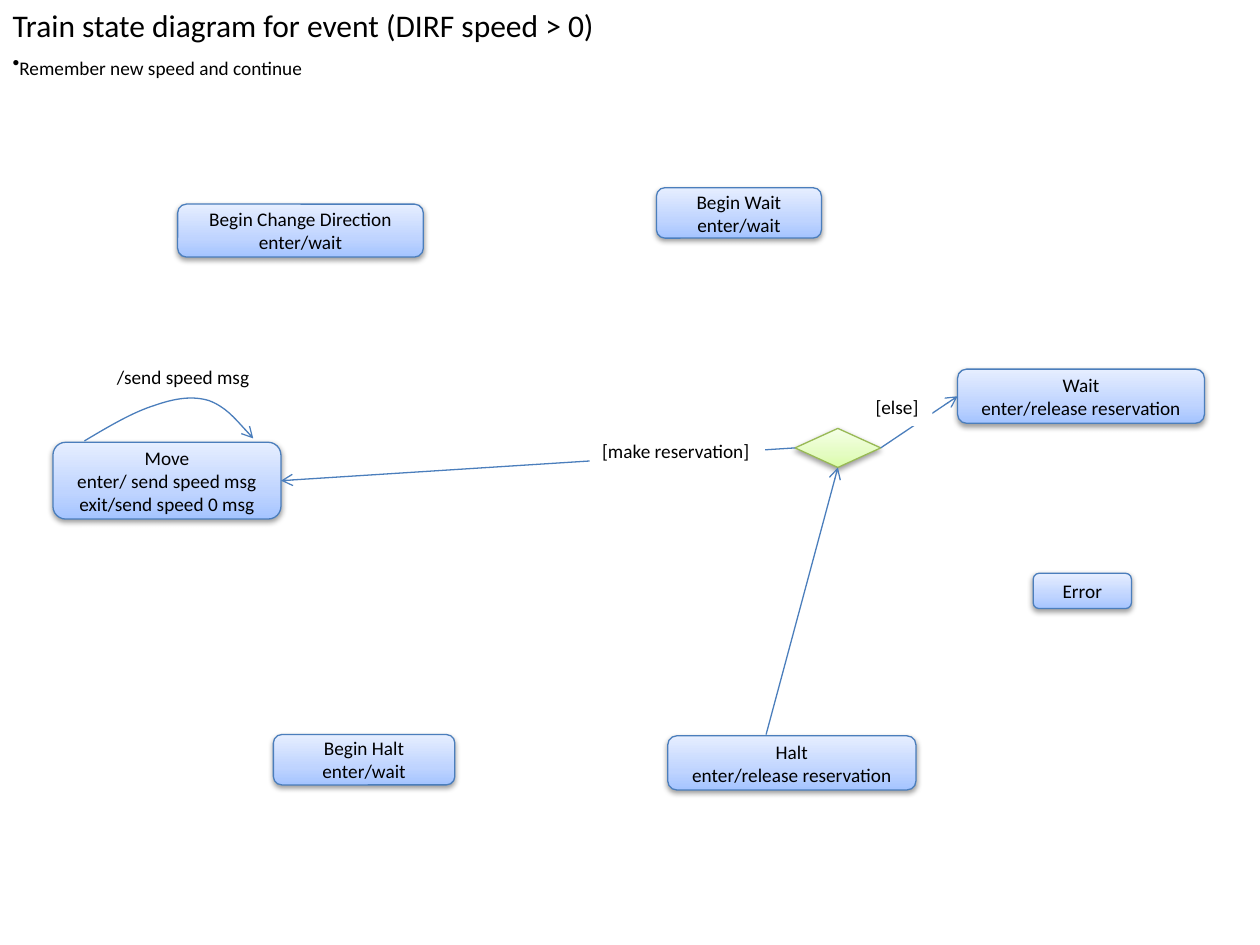
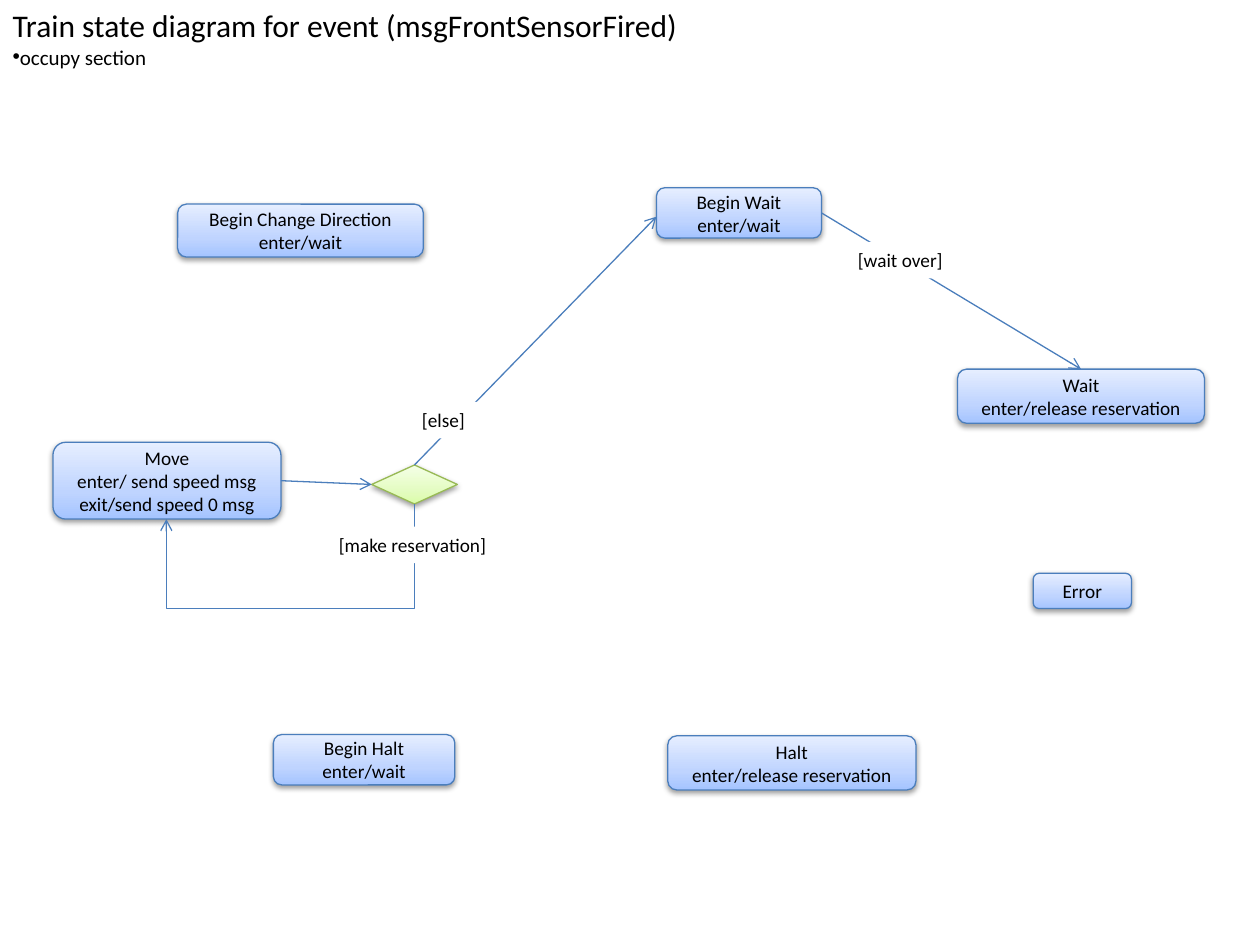
from dataclasses import dataclass
from typing import NamedTuple

from lxml import etree
from pptx import Presentation
from pptx.dml.color import RGBColor
from pptx.enum.shapes import MSO_CONNECTOR, MSO_SHAPE
from pptx.enum.text import MSO_ANCHOR, MSO_AUTO_SIZE, PP_ALIGN
from pptx.oxml.ns import qn
from pptx.util import Pt

PX = 9144
SLIDE_W, SLIDE_H = 1000, 750
FONT = "Calibri"
COLORS = {
    "text": "000000", "shadow": "000000", "label": "FFFFFF",
    "state_line": "4B7EBC", "choice_line": "98B955",
}
GRADIENTS = {
    "state": ("A4C4FF", "BFD4FF", "E6EEFF"),
    "choice": ("DAFDA7", "E4FCC2", "F5FFE7"),
}
GRADIENT_STOPS = (0, 35000, 100000)
LINE_WIDTH = Pt(0.75)
TITLE_SIZE, BODY_SIZE = 18, 11
LABEL_H = 29
CHOICE_W, CHOICE_H = 68, 31

ROUND_RECT = MSO_SHAPE.ROUNDED_RECTANGLE
DECISION = MSO_SHAPE.FLOWCHART_DECISION
STRAIGHT, ELBOW = MSO_CONNECTOR.STRAIGHT, MSO_CONNECTOR.ELBOW
LEFT, CENTER = PP_ALIGN.LEFT, PP_ALIGN.CENTER
ANCHOR_TOP, ANCHOR_MIDDLE = MSO_ANCHOR.TOP, MSO_ANCHOR.MIDDLE
FIT_SHAPE = MSO_AUTO_SIZE.SHAPE_TO_FIT_TEXT
SITE_TOP, SITE_LEFT, SITE_BOTTOM, SITE_RIGHT = range(4)


class Point(NamedTuple):
    x: int
    y: int


class Joint(NamedTuple):
    state: str
    site: int


class Arrow(NamedTuple):
    start: Point | Joint
    end: Point | Joint


class Loop(NamedTuple):
    start: Point
    end: Point
    bottom: int


class Label(NamedTuple):
    text: str
    x: int
    y: int
    w: int


class State(NamedTuple):
    lines: tuple[str, ...]
    x: int
    y: int
    w: int
    h: int


class Note(NamedTuple):
    text: str
    size: int
    tail: str = ""


@dataclass(frozen=True)
class Diagram:
    title: str
    note: Note
    title_w: int
    title_h: int
    choice: Point
    arrows: tuple[Arrow, ...]
    labels: tuple[Label, ...]
    loops: tuple[Loop, ...] = ()
    curves: tuple[tuple[Point, ...], ...] = ()


STATES = {
    "move": State(("Move", "enter/ send speed msg", "exit/send speed 0 msg"), 42, 351, 181, 61),
    "error": State(("Error",), 820, 455, 78, 28),
    "wait": State(("Wait", "enter/release reservation"), 760, 293, 196, 43),
    "halt": State(("Halt", "enter/release reservation"), 530, 584, 197, 43),
    "begin_wait": State(("Begin Wait", "enter/wait"), 521, 149, 131, 40),
    "begin_change": State(("Begin Change Direction", "enter/wait"), 141, 162, 195, 42),
    "begin_halt": State(("Begin Halt", "enter/wait"), 217, 583, 144, 40),
}

DIAGRAMS = (
    Diagram(
        title="Train state diagram for event (DIRF speed > 0)",
        note=Note("Remember new speed and continue", 11, tail=" "),
        title_w=487, title_h=71,
        choice=Point(631, 340),
        arrows=(
            Arrow(Point(608, 583), Joint("choice", SITE_BOTTOM)),
            Arrow(Joint("choice", SITE_RIGHT), Joint("wait", SITE_LEFT)),
            Arrow(Joint("choice", SITE_LEFT), Joint("move", SITE_RIGHT)),
        ),
        labels=(
            Label("[make reservation]", 468, 344, 139),
            Label("[else]", 685, 309, 55),
            Label("/send speed msg", 83, 285, 126),
        ),
        curves=((
            Point(67, 350),
            Point(87, 338), Point(106, 327), Point(122, 322),
            Point(139, 316), Point(153, 314), Point(166, 318),
            Point(179, 323), Point(190, 336), Point(201, 348),
        ),),
    ),
    Diagram(
        title="Train state diagram for event (msgFrontSensorFired)",
        note=Note("occupy section", 12),
        title_w=559, title_h=61,
        choice=Point(295, 369),
        arrows=(
            Arrow(Joint("move", SITE_RIGHT), Joint("choice", SITE_LEFT)),
            Arrow(Joint("choice", SITE_TOP), Point(521, 172)),
            Arrow(Joint("begin_wait", SITE_RIGHT), Joint("wait", SITE_TOP)),
        ),
        labels=(
            Label("[make reservation]", 259, 418, 139),
            Label("[else]", 325, 319, 55),
            Label("[wait over]", 671, 192, 88),
        ),
        loops=(Loop(Point(329, 400), Point(132, 412), 483),),
    ),
)


def px(*values: float) -> list[int]:
    return [round(v * PX) for v in values]


def rgb(name: str) -> RGBColor:
    return RGBColor.from_string(COLORS[name])


def add_child(parent, tag: str, **attrs):
    return etree.SubElement(parent, qn(tag), {k: str(v) for k, v in attrs.items()})


def write(p, text: str, *, size: int = BODY_SIZE, align=LEFT) -> None:
    p.alignment = align
    r = p.add_run()
    r.text = text
    r.font.name = FONT
    r.font.size = Pt(size)
    r.font.bold = False
    r.font.color.rgb = rgb("text")


def hug_text(tf) -> None:
    tf.word_wrap = False
    tf.auto_size = FIT_SHAPE
    tf.vertical_anchor = ANCHOR_TOP


def style_line(s, color: str = "state_line", arrow: bool = False) -> None:
    s.line.color.rgb = rgb(color)
    s.line.width = LINE_WIDTH
    if arrow:
        add_child(s._element.spPr.find(qn("a:ln")), "a:tailEnd", type="arrow")


def style_box(s, kind: str) -> None:
    s.fill.gradient()
    s.fill.gradient_angle = 90
    stops = s._element.spPr.find(qn("a:gradFill")).find(qn("a:gsLst"))
    for stop in list(stops):
        stops.remove(stop)
    for pos, color in zip(GRADIENT_STOPS, GRADIENTS[kind]):
        add_child(add_child(stops, "a:gs", pos=pos), "a:srgbClr", val=color)
    style_line(s, f"{kind}_line")
    s.shadow.inherit = False
    effects = s._element.spPr.find(qn("a:effectLst"))
    shadow = add_child(effects, "a:outerShdw", blurRad=40000, dist=20000,
                       dir=5400000, rotWithShape=0)
    color = add_child(shadow, "a:srgbClr", val=COLORS["shadow"])
    add_child(color, "a:alpha", val=38000)


def add_title(slide, diagram: Diagram) -> None:
    sp = slide.shapes.title
    sp.left, sp.top, sp.width, sp.height = px(0, 0, diagram.title_w, diagram.title_h)
    tf = sp.text_frame
    hug_text(tf)
    write(tf.paragraphs[0], diagram.title, size=TITLE_SIZE)
    p = tf.add_paragraph()
    write(p, diagram.note.text, size=diagram.note.size)
    if diagram.note.tail:
        write(p, diagram.note.tail, size=TITLE_SIZE)
    pPr = p._p.get_or_add_pPr()
    pPr.set("marL", "0")
    pPr.set("indent", "0")
    add_child(pPr, "a:buFont", typeface="Arial")
    add_child(pPr, "a:buChar", char="•")


def add_state(slide, state: State):
    s = slide.shapes.add_shape(ROUND_RECT, *px(state.x, state.y, state.w, state.h))
    style_box(s, "state")
    tf = s.text_frame
    tf.word_wrap = True
    tf.vertical_anchor = ANCHOR_MIDDLE
    for i, line in enumerate(state.lines):
        write(tf.add_paragraph() if i else tf.paragraphs[0], line, align=CENTER)
    return s


def add_choice(slide, at: Point):
    s = slide.shapes.add_shape(DECISION, *px(at.x, at.y, CHOICE_W, CHOICE_H))
    style_box(s, "choice")
    return s


def add_line(slide, kind, *ends: float):
    s = slide.shapes.add_connector(kind, *px(*ends))
    style_line(s, arrow=True)
    add_child(s._element.spPr, "a:effectLst")
    return s


def add_arrow(slide, arrow: Arrow, boxes: dict) -> None:
    free = [end if isinstance(end, Point) else Point(0, 0) for end in arrow]
    s = add_line(slide, STRAIGHT, *free[0], *free[1])
    for end, connect in zip(arrow, (s.begin_connect, s.end_connect)):
        if isinstance(end, Joint):
            connect(boxes[end.state], end.site)


def add_loop(slide, loop: Loop) -> None:
    (x0, y0), (x1, y1), bottom = loop
    w, h = y1 - y0, x0 - x1
    left, top = (x0 + x1 - w) / 2, (y0 + y1 - h) / 2
    s = add_line(slide, ELBOW, left, top, left + w, top + h)
    spPr = s._element.spPr
    spPr.find(qn("a:xfrm")).set("rot", "5400000")
    guides = spPr.find(qn("a:prstGeom")).find(qn("a:avLst"))
    bend = round((bottom - y0) / w * 100000)
    add_child(guides, "a:gd", name="adj1", fmla=f"val {bend}")


def add_curve(slide, points: tuple[Point, ...]) -> None:
    builder = slide.shapes.build_freeform(*points[0], scale=PX)
    builder.add_line_segments(points[1:], close=False)
    s = builder.convert_to_shape()
    s.fill.background()
    style_line(s, arrow=True)
    s.shadow.inherit = False
    segments = list(s._element.iter(qn("a:lnTo")))
    outline = segments[0].getparent()
    for i in range(0, len(segments), 3):
        bezier = add_child(outline, "a:cubicBezTo")
        for segment in segments[i:i + 3]:
            bezier.append(segment[0])
            outline.remove(segment)


def add_label(slide, label: Label) -> None:
    s = slide.shapes.add_textbox(*px(label.x, label.y, label.w, LABEL_H))
    s.fill.solid()
    s.fill.fore_color.rgb = rgb("label")
    hug_text(s.text_frame)
    write(s.text_frame.paragraphs[0], label.text)


def add_diagram(prs, diagram: Diagram) -> None:
    slide = prs.slides.add_slide(prs.slide_layouts[5])
    add_title(slide, diagram)
    boxes = {name: add_state(slide, state) for name, state in STATES.items()}
    boxes["choice"] = add_choice(slide, diagram.choice)
    for arrow in diagram.arrows:
        add_arrow(slide, arrow, boxes)
    for loop in diagram.loops:
        add_loop(slide, loop)
    for curve in diagram.curves:
        add_curve(slide, curve)
    for label in diagram.labels:
        add_label(slide, label)


def main() -> None:
    prs = Presentation()
    prs.slide_width, prs.slide_height = px(SLIDE_W, SLIDE_H)
    for diagram in DIAGRAMS:
        add_diagram(prs, diagram)
    prs.save("out.pptx")


if __name__ == "__main__":
    main()
